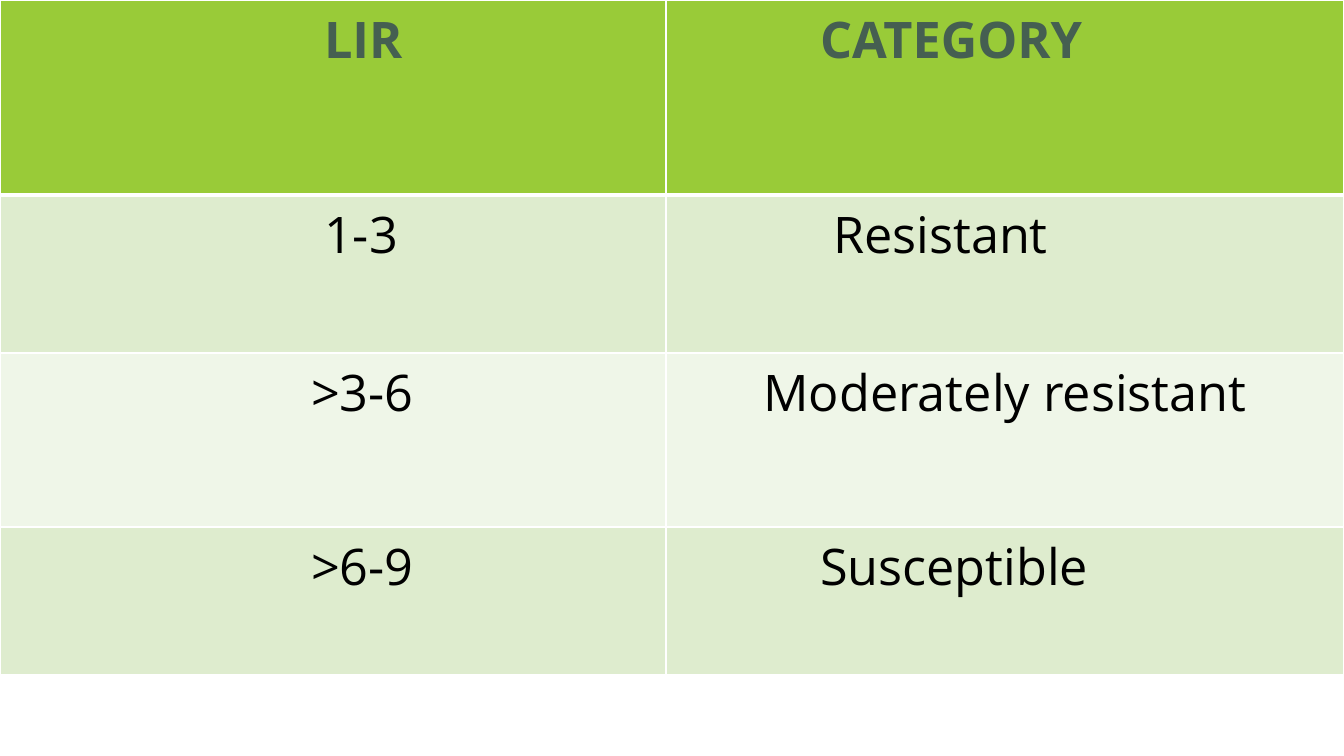
from lxml.etree import SubElement
from pptx import Presentation
from pptx.dml.color import RGBColor
from pptx.enum.text import PP_ALIGN
from pptx.oxml.ns import qn
from pptx.util import Pt

PX = 914400 / 100.8
COLORS = {
    "header": "99CB38",
    "header_text": "455F51",
    "band_dark": "DEECCE",
    "band_light": "EFF6E8",
    "text": "000000",
    "border": "FFFFFF",
}
COLUMN_WIDTHS = [666, 678]
ROW_HEIGHTS = [195, 158, 174, 148]
# Each cell: text and left indent in px; None centres the text
ROWS = [
    [("LIR", 314), ("CATEGORY", 144)],
    [("1-3", 314), ("Resistant", 157)],
    [(">3-6", 301), ("Moderately resistant", None)],
    [(">6-9", 301), ("Susceptible", 144)],
]


def px(length):
    return round(length * PX)


def write_text(cell, text, *, indent, color, bold=False, size=36, font="Open Sans"):
    para = cell.text_frame.paragraphs[0]
    if indent is None:
        para.alignment = PP_ALIGN.CENTER
    else:
        para.alignment = PP_ALIGN.LEFT
        para._p.get_or_add_pPr().set("marL", str(px(indent)))
    span = para.add_run()
    span.text = text
    span.font.name = font
    span.font.size = Pt(size)
    span.font.bold = bold
    span.font.color.rgb = RGBColor.from_string(COLORS[color])


def set_borders(cell, **widths):
    properties = cell._tc.get_or_add_tcPr()
    for side, width in widths.items():
        line = SubElement(properties, qn(f"a:ln{side}"), w=str(Pt(width)))
        fill = SubElement(line, qn("a:solidFill"))
        SubElement(fill, qn("a:srgbClr"), val=COLORS["border"])


def add_category_table(page, left, top, width, height):
    frame = page.shapes.add_table(
        len(ROWS), len(COLUMN_WIDTHS), px(left), px(top), px(width), px(height))
    table = frame.table
    for column, column_width in zip(table.columns, COLUMN_WIDTHS):
        column.width = px(column_width)
    for row, row_height in zip(table.rows, ROW_HEIGHTS):
        row.height = px(row_height)

    for row_index, entries in enumerate(ROWS):
        header = row_index == 0
        band = "header" if header else "band_dark" if row_index % 2 else "band_light"
        for column_index, (text, indent) in enumerate(entries):
            cell = table.cell(row_index, column_index)
            # A thick rule separates the header from the body
            set_borders(cell, L=1, R=1, T=3 if row_index == 1 else 1,
                        B=3 if header else 1)
            cell.fill.solid()
            cell.fill.fore_color.rgb = RGBColor.from_string(COLORS[band])
            write_text(cell, text, indent=indent, bold=header,
                       color="header_text" if header else "text")


def main():
    deck = Presentation()
    deck.slide_width, deck.slide_height = px(1344), px(756)
    page = deck.slides.add_slide(deck.slide_layouts[6])
    add_category_table(page, 0, 0, sum(COLUMN_WIDTHS), sum(ROW_HEIGHTS))
    deck.save("out.pptx")


if __name__ == "__main__":
    main()
